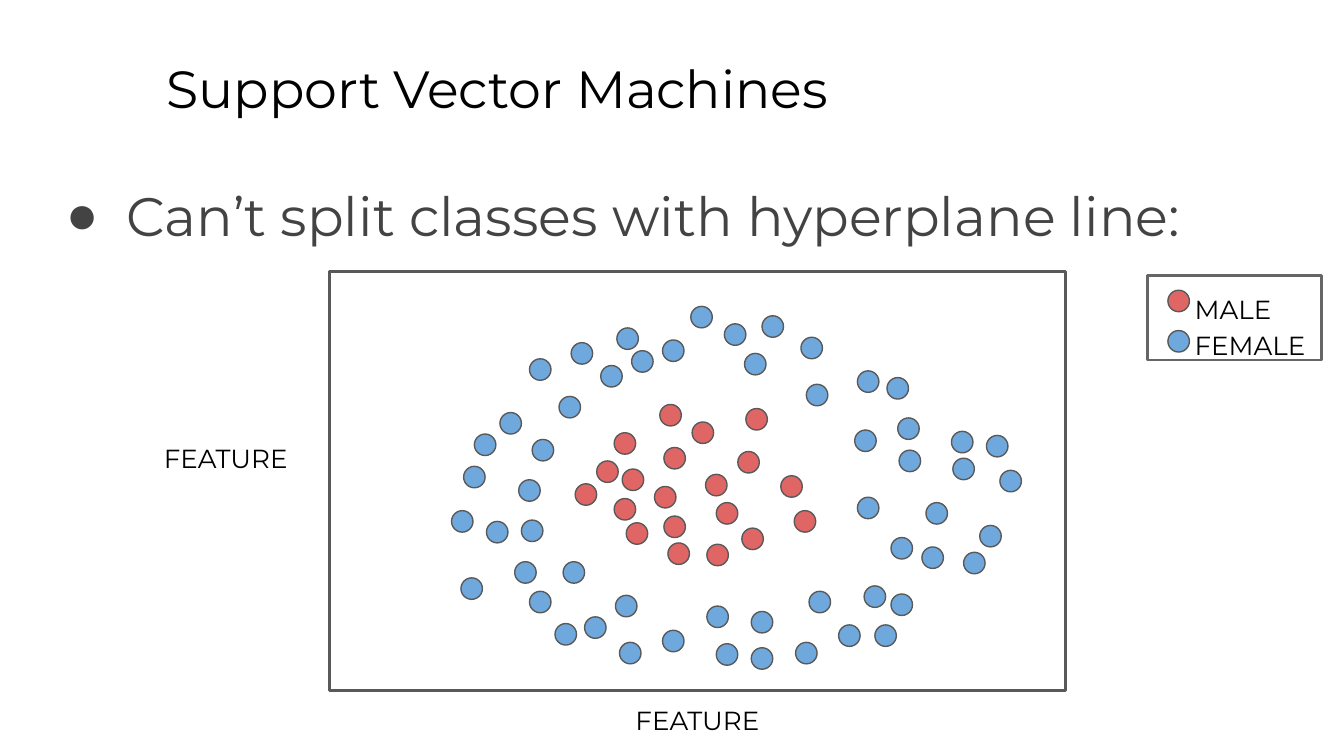
from lxml.etree import SubElement
from pptx import Presentation
from pptx.dml.color import RGBColor
from pptx.enum.shapes import MSO_SHAPE
from pptx.enum.text import MSO_ANCHOR, MSO_AUTO_SIZE, PP_ALIGN
from pptx.oxml.ns import qn
from pptx.util import Inches, Pt

COLORS = {
    "text": "000000",
    "body": "434343",
    "outline": "595959",
    "legend": "666666",
    "male": "E06666",
    "female": "6FA8DC",
}
FONT = "Montserrat"
DOT_SIZE = 0.16
MALE_POINTS = [
    (2.52, 2.02), (3.36, 1.52), (3.10, 1.02), (2.46, 0.99), (2.12, 1.20),
    (2.42, 1.60), (2.18, 1.47), (3.04, 1.34), (2.49, 1.31), (2.70, 1.12),
    (2.88, 1.72), (2.49, 1.82), (3.46, 1.78), (2.21, 1.87), (2.81, 2.03),
    (3.07, 1.91), (2.80, 1.51), (1.83, 1.58), (2.12, 1.69), (1.99, 1.41),
]
FEMALE_POINTS = [
    (2.13, 2.41), (1.74, 2.16), (1.90, 2.57), (1.68, 2.62), (1.71, 0.93),
    (1.49, 2.38), (1.41, 1.55), (1.43, 1.85), (1.49, 0.65), (0.91, 1.78),
    (1.38, 2.16), (1.51, 1.25), (1.27, 1.05), (3.93, 1.68), (3.57, 2.38),
    (1.08, 1.21), (0.98, 2.28), (1.00, 1.45), (1.17, 1.86), (4.18, 2.40),
    (4.44, 1.72), (4.84, 1.89), (4.72, 2.09), (4.41, 2.05), (4.18, 1.98),
    (4.06, 2.63), (3.79, 2.63), (3.98, 2.34), (4.63, 1.19), (3.91, 1.18),
    (3.93, 0.74), (4.15, 0.79), (4.23, 1.09), (4.24, 1.33), (4.89, 1.22),
    (4.99, 1.48), (4.64, 1.39), (2.25, 0.59), (3.22, 0.33), (3.09, 0.61),
    (2.94, 0.39), (2.48, 0.51), (2.69, 0.26), (2.02, 0.70), (1.80, 0.53),
    (2.14, 0.42), (2.88, 2.77), (2.16, 2.76), (3.51, 0.49), (3.55, 0.84),
    (2.48, 2.67), (2.81, 2.49), (3.14, 2.80), (3.14, 2.53), (3.47, 2.76),
]


def color(name):
    """Return the named colour."""
    return RGBColor.from_string(COLORS[name])


def place(shape, left, top, width, height):
    """Move a shape to a box given in inches."""
    shape.left, shape.top = Inches(left), Inches(top)
    shape.width, shape.height = Inches(width), Inches(height)


def write(shape, lines, size, color_name="text", align=PP_ALIGN.LEFT, spacing=1.0):
    """Fill a shape with top-anchored paragraphs in one style."""
    frame = shape.text_frame
    frame.text = "\n".join(lines)
    frame.word_wrap = True
    frame.auto_size = MSO_AUTO_SIZE.NONE
    frame.vertical_anchor = MSO_ANCHOR.TOP
    frame.margin_left = frame.margin_right = Inches(0.1)
    frame.margin_top = frame.margin_bottom = Inches(0.1)
    for paragraph in frame.paragraphs:
        paragraph.alignment = align
        paragraph.line_spacing = spacing
        paragraph.space_before = Pt(0)
        for run in paragraph.runs:
            run.font.name = FONT
            run.font.size = Pt(size)
            run.font.color.rgb = color(color_name)


def indent(paragraph, margin, first=0):
    """Set a paragraph's left margin and first-line indent in inches."""
    properties = paragraph._p.get_or_add_pPr()
    properties.set("marL", str(Inches(margin)))
    properties.set("indent", str(Inches(first)))
    return properties


def add_outlined(slide, kind, box, line, weight, fill=None):
    """Add a flat outlined shape with an optional fill."""
    shape = slide.shapes.add_shape(kind, *map(Inches, box))
    shape.shadow.inherit = False
    shape.line.color.rgb = color(line)
    shape.line.width = Pt(weight)
    if fill:
        shape.fill.solid()
        shape.fill.fore_color.rgb = color(fill)
    else:
        shape.fill.background()
    return shape


def add_dot(slide, left, top, group):
    """Add one data point coloured by its class."""
    box = (left, top, DOT_SIZE, DOT_SIZE)
    add_outlined(slide, MSO_SHAPE.OVAL, box, "outline", 0.75, group)


def add_title(slide, box):
    """Place the slide title."""
    title = slide.shapes.title
    place(title, *box)
    write(title, ["Support Vector Machines"], 28)


def add_statement(slide, box):
    """Place the bulleted statement."""
    body = slide.placeholders[1]
    place(body, *box)
    write(body, ["Can’t split classes with hyperplane line:"], 29, "body")
    properties = indent(body.text_frame.paragraphs[0], 0.5, -0.45)
    bullet_color = SubElement(properties, qn("a:buClr"))
    SubElement(bullet_color, qn("a:srgbClr"), val=COLORS["body"])
    SubElement(properties, qn("a:buChar"), char="●")


def add_scatter(slide, box):
    """Draw the framed scatter with a label on each axis."""
    left, top, width, height = box
    add_outlined(slide, MSO_SHAPE.RECTANGLE, box, "outline", 1.5)
    for group, points in (("male", MALE_POINTS), ("female", FEMALE_POINTS)):
        for x, y in points:
            add_dot(slide, left + x, top + y, group)
    label_width, label_height = 1.46, 0.25
    for x, y in ((left + 2.01, top + height), (left - 1.5, top + 1.17)):
        label = slide.shapes.add_textbox(0, 0, 0, 0)
        place(label, x, y, label_width, label_height)
        write(label, ["FEATURE"], 14, align=PP_ALIGN.CENTER)


def add_legend(slide, box):
    """Draw the legend with one dot beside each class name."""
    left, top = box[:2]
    groups = ["male", "female"]
    legend = add_outlined(slide, MSO_SHAPE.RECTANGLE, box, "legend", 1.5)
    write(legend, [group.upper() for group in groups], 14, spacing=1.15)
    for index, group in enumerate(groups):
        indent(legend.text_frame.paragraphs[index], 0.25)
        add_dot(slide, left + 0.15, top + 0.11 + 0.3 * index, group)


def main():
    """Build and save the slide."""
    presentation = Presentation()
    presentation.slide_width = Inches(10)
    presentation.slide_height = presentation.slide_width * 9 // 16
    slide = presentation.slides.add_slide(presentation.slide_layouts[1])
    add_title(slide, (1.14, 0.32, 8.52, 0.63))
    add_statement(slide, (0.34, 1.26, 9.5, 1.09))
    add_scatter(slide, (2.45, 2.02, 5.48, 3.12))
    add_legend(slide, (8.54, 2.05, 1.29, 0.63))
    presentation.save("out.pptx")


if __name__ == "__main__":
    main()
